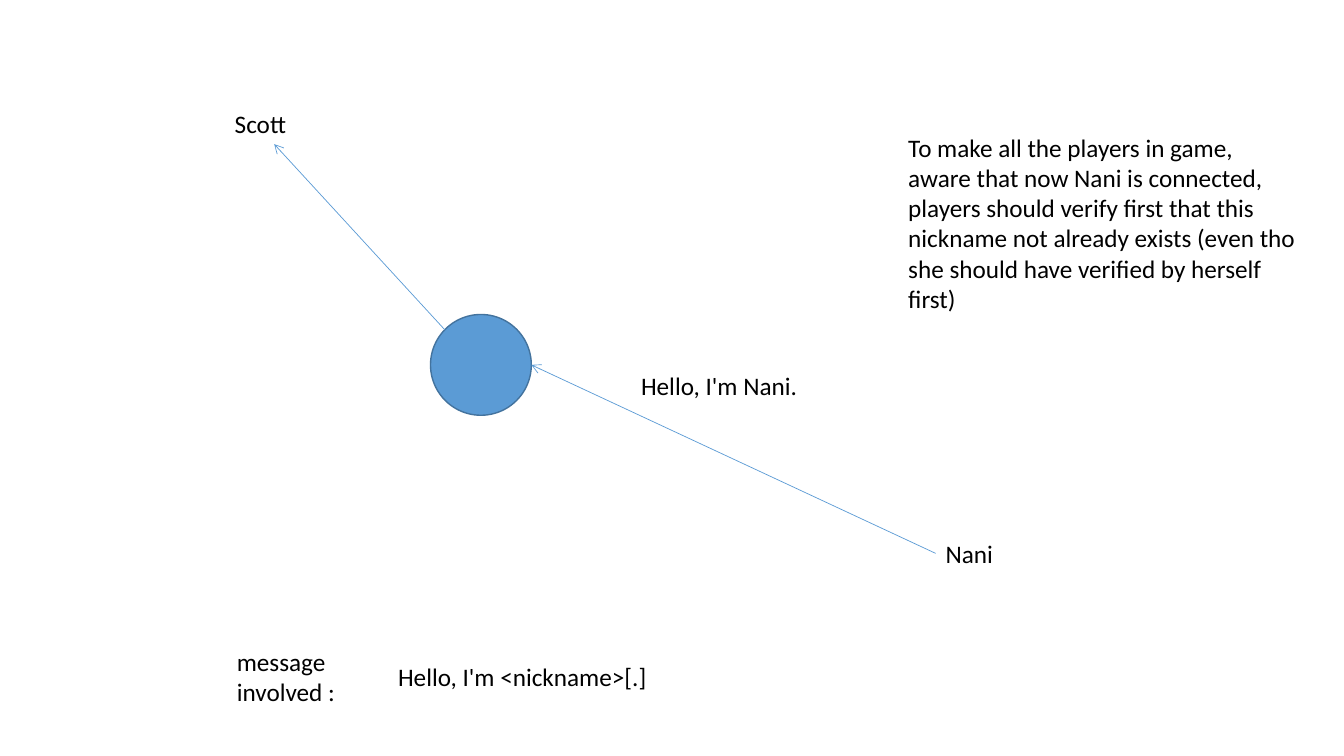
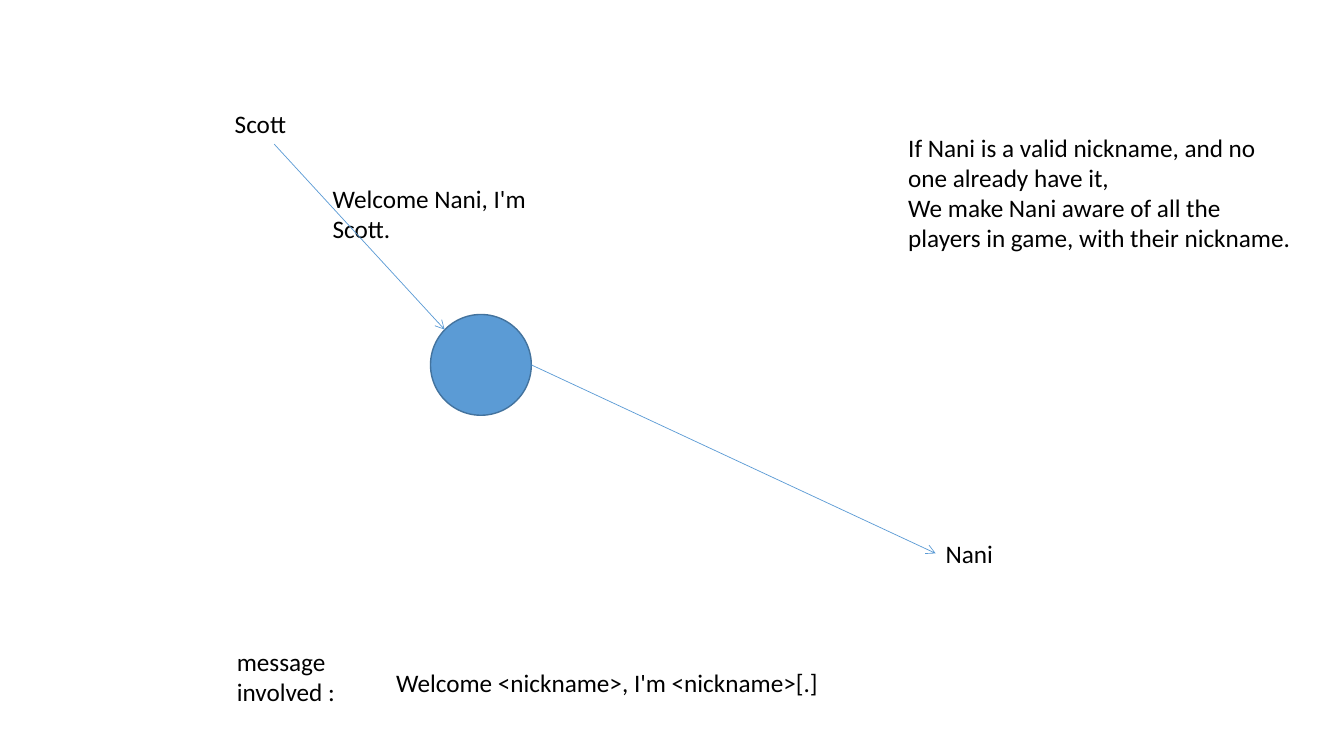
from dataclasses import dataclass

from lxml import etree
from pptx import Presentation
from pptx.dml.color import RGBColor
from pptx.enum.shapes import MSO_CONNECTOR, MSO_SHAPE
from pptx.enum.text import MSO_AUTO_SIZE
from pptx.oxml.ns import qn
from pptx.util import Inches, Pt

STRAIGHT = MSO_CONNECTOR.STRAIGHT
OVAL = MSO_SHAPE.OVAL
GROW = MSO_AUTO_SIZE.SHAPE_TO_FIT_TEXT


@dataclass(frozen=True)
class Theme:
    font: str = "Calibri"
    size: Pt = Pt(18)
    text: RGBColor = RGBColor(0x00, 0x00, 0x00)
    accent: RGBColor = RGBColor(0x5B, 0x9B, 0xD5)
    outline: RGBColor = RGBColor(0x43, 0x73, 0x9E)
    outline_width: Pt = Pt(1)
    arrow_width: Pt = Pt(0.5)


THEME = Theme()


def add_text(page, text, left, top, width, height):
    box = page.shapes.add_textbox(Inches(left), Inches(top), Inches(width), Inches(height))
    frame = box.text_frame
    frame.word_wrap = True
    frame.auto_size = GROW
    frame.text = text
    for para in frame.paragraphs:
        for span in para.runs:
            span.font.name = THEME.font
            span.font.size = THEME.size
            span.font.color.rgb = THEME.text


def add_arrow(page, start, end):
    points = [Inches(value) for value in (*start, *end)]
    arrow = page.shapes.add_connector(STRAIGHT, *points)
    arrow.line.color.rgb = THEME.accent
    arrow.line.width = THEME.arrow_width
    etree.SubElement(arrow.line._get_or_add_ln(), qn("a:tailEnd"), type="arrow")
    etree.SubElement(arrow._element.spPr, qn("a:effectLst"))


# Labels on every slide: text, left, top, width, height
SHARED_LABELS = [
    ("Scott", 2.23, 1.03, 0.97, 0.4),
    ("Nani", 9.28, 5.29, 1.23, 0.4),
    ("message\ninvolved :", 2.25, 6.36, 1.71, 0.71),
]

# Where the arrows meet the players and the hub
SCOTT, HUB_CORNER = (2.72, 1.43), (4.41, 3.27)
HUB_RIGHT, NANI = (5.27, 3.62), (9.28, 5.49)

# Each step: its own texts and the route of its message
STEPS = [
    {
        "texts": [
            ("Hello, I'm Nani.", 6.26, 3.62, 2.04, 0.4),
            ("To make all the players in game, aware that now Nani is connected, "
             "players should verify first that this nickname not already exists "
             "(even tho she should have verified by herself first)",
             8.91, 1.26, 4.06, 2.22),
            ("Hello, I'm <nickname>[.]", 3.85, 6.51, 3.56, 0.4),
        ],
        "arrows": [(NANI, HUB_RIGHT), (HUB_CORNER, SCOTT)],
    },
    {
        "texts": [
            ("Welcome Nani, I'm Scott.", 3.2, 1.77, 2.61, 0.71),
            ("If Nani is a valid nickname, and no one already have it,\n"
             "We make Nani aware of all the players in game, with their nickname.",
             8.91, 1.26, 4.06, 1.92),
            ("Welcome <nickname>, I'm <nickname>[.]", 3.83, 6.57, 5.92, 0.4),
        ],
        "arrows": [(SCOTT, HUB_CORNER), (HUB_RIGHT, NANI)],
    },
]

deck = Presentation()
deck.slide_width, deck.slide_height = Inches(13.33), Inches(7.5)
blank = deck.slide_layouts[6]

for step in STEPS:
    page = deck.slides.add_slide(blank)

    # Labels and explanations
    for label in SHARED_LABELS + step["texts"]:
        add_text(page, *label)

    # Hub between the players
    hub = page.shapes.add_shape(OVAL, Inches(4.27), Inches(3.12), Inches(1), Inches(1))
    hub.shadow.inherit = False
    hub.fill.solid()
    hub.fill.fore_color.rgb = THEME.accent
    hub.line.color.rgb = THEME.outline
    hub.line.width = THEME.outline_width

    # Message route
    for start, end in step["arrows"]:
        add_arrow(page, start, end)

deck.save("out.pptx")
